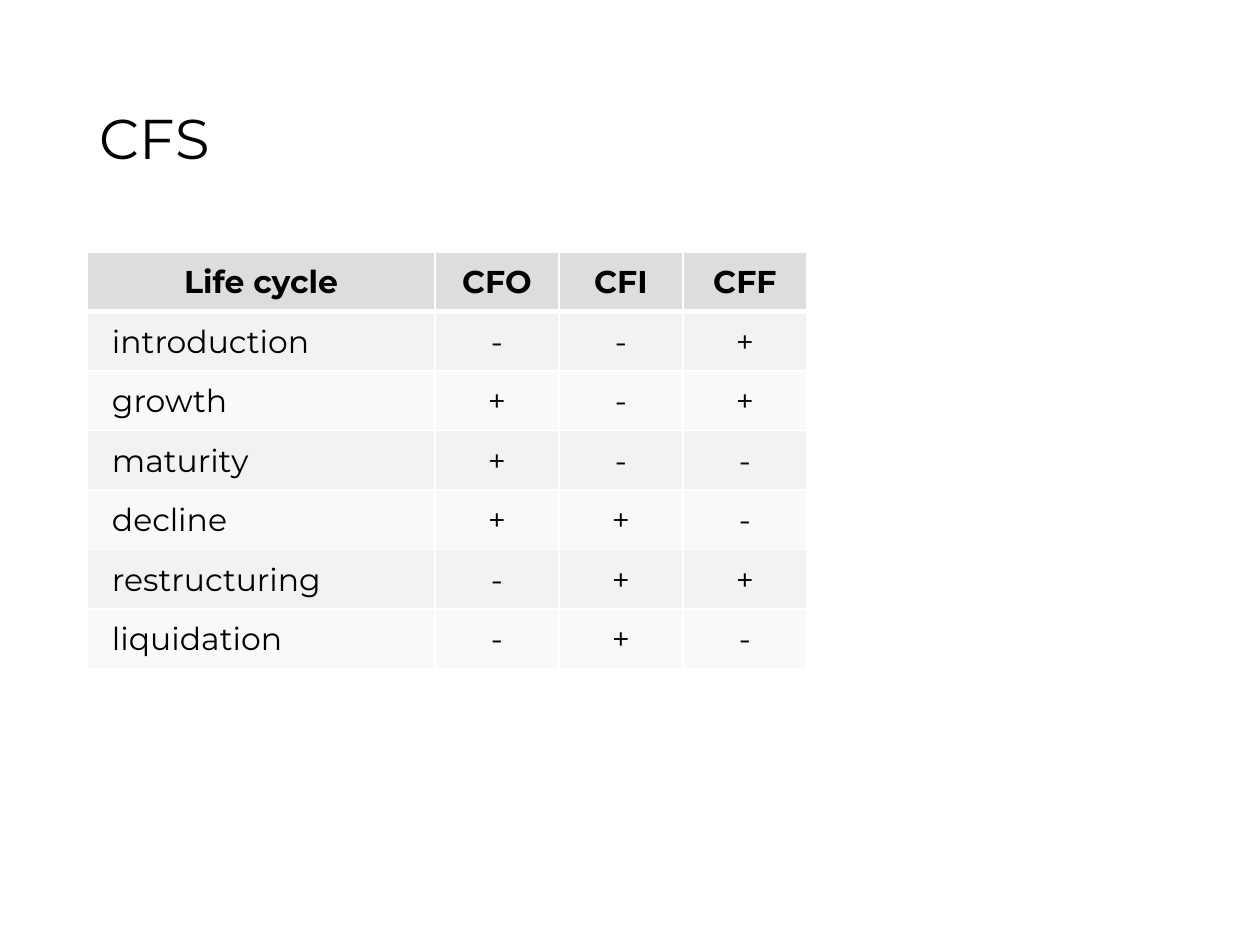
"""Build the CFS slide: cash flow signs for each stage of the life cycle."""
import pptx
import pptx.dml.color
import pptx.enum.text
import pptx.oxml
import pptx.oxml.ns
import pptx.util


def px(length):
    return pptx.util.Emu(round(length * 914400 / 126))


def style(paragraph, size, color, bold=False):
    for run in paragraph.runs:
        run.font.name = "Montserrat"
        run.font.size = pptx.util.Pt(size)
        run.font.bold = bold
        run.font.color.rgb = pptx.dml.color.RGBColor.from_string(color)


MIDDLE = pptx.enum.text.MSO_ANCHOR.MIDDLE
CENTER = pptx.enum.text.PP_ALIGN.CENTER
LEFT = pptx.enum.text.PP_ALIGN.LEFT

life_cycle = [
    ("Life cycle", "CFO", "CFI", "CFF"),
    ("introduction", "-", "-", "+"),
    ("growth", "+", "-", "+"),
    ("maturity", "+", "-", "-"),
    ("decline", "+", "+", "-"),
    ("restructuring", "-", "+", "+"),
    ("liquidation", "-", "+", "-"),
]
column_widths = [348, 124, 124, 124]

deck = pptx.Presentation()
deck.slide_width, deck.slide_height = px(1260), px(945)
slide = deck.slides.add_slide(deck.slide_layouts[6])

title = slide.shapes.add_textbox(px(87), px(50), px(1086), px(183)).text_frame
title.word_wrap = True
title.vertical_anchor = MIDDLE
title.text = "CFS"
title.paragraphs[0].line_spacing = 0.9
style(title.paragraphs[0], 32, "000000")

stages = slide.shapes.add_table(
    len(life_cycle), len(column_widths), px(87), px(252), px(sum(column_widths)), px(417)
).table
for column, width in zip(stages.columns, column_widths):
    column.width = px(width)

for row, entries in enumerate(life_cycle):
    for col, entry in enumerate(entries):
        cell = stages.cell(row, col)
        is_stage = row > 0 and col == 0
        cell.text_frame.text = entry
        cell.vertical_anchor = MIDDLE
        cell.margin_left = px(25 if is_stage else 1)
        cell.margin_top = cell.margin_right = px(1)
        cell.margin_bottom = 0
        paragraph = cell.text_frame.paragraphs[0]
        paragraph.alignment = LEFT if is_stage else CENTER
        style(paragraph, 18, "000000", bold=row == 0)

        borders = {"L": 1, "R": 1, "T": 3 if row == 1 else 1, "B": 3 if row == 0 else 1}
        for side, width in borders.items():
            cell._tc.get_or_add_tcPr().append(pptx.oxml.parse_xml(
                f'<a:ln{side} {pptx.oxml.ns.nsdecls("a")} w="{pptx.util.Pt(width)}">'
                f'<a:solidFill><a:srgbClr val="FFFFFF"/></a:solidFill></a:ln{side}>'
            ))
        fill = "DDDDDD" if row == 0 else "F2F2F2" if row % 2 else "F9F9F9"
        cell.fill.solid()
        cell.fill.fore_color.rgb = pptx.dml.color.RGBColor.from_string(fill)

deck.save("out.pptx")
